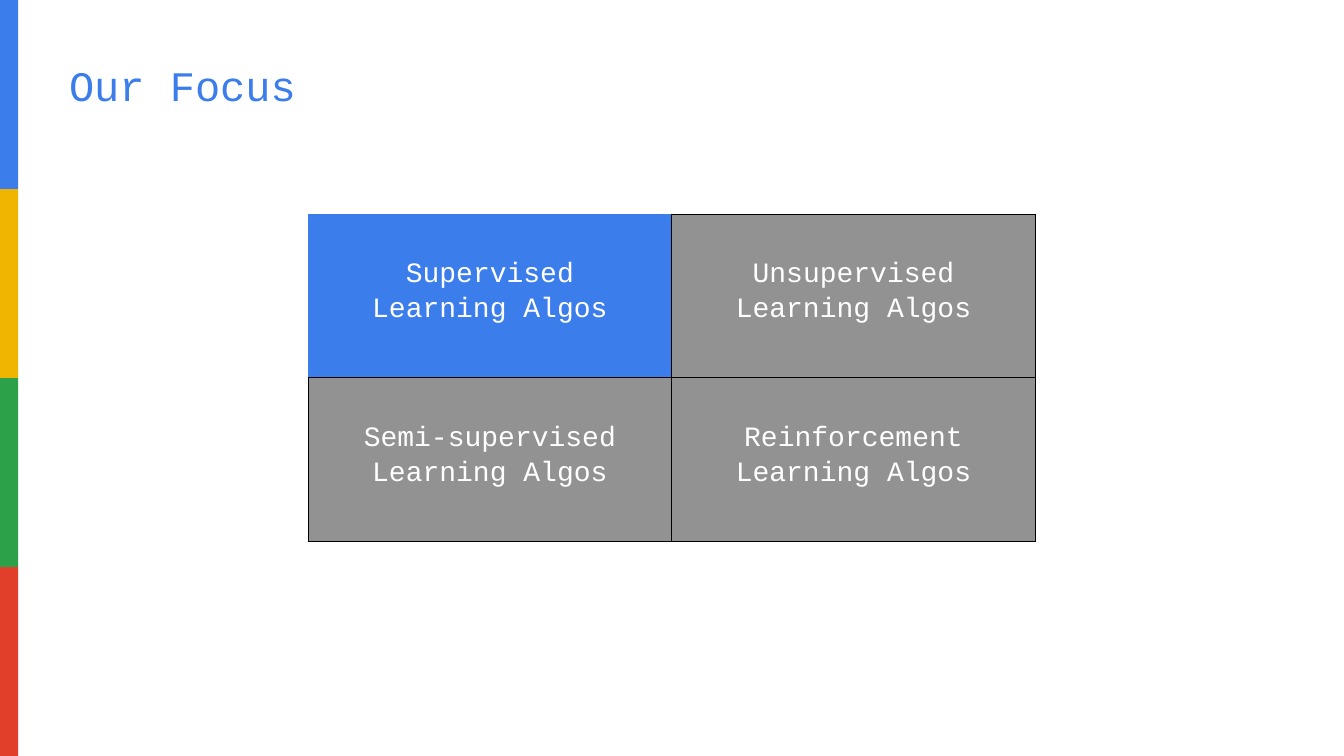
"""Build the "Our Focus" slide: a two-by-two table of learning types beside a colour stripe."""
import pptx
import pptx.dml.color
import pptx.enum.shapes
import pptx.enum.text
import pptx.oxml
import pptx.oxml.ns
import pptx.util

Cm = pptx.util.Cm
Pt = pptx.util.Pt

TITLE = "Our Focus"
FONT = "Courier New"
BLUE, GREY, WHITE, BLACK = "3C7DEC", "929292", "FFFFFF", "000000"
STRIPES = [BLUE, "F0B500", "2CA14A", "E23F2A"]
ALGORITHMS = [
    [("Supervised Learning Algos", BLUE, "RB"), ("Unsupervised Learning Algos", GREY, "LRTB")],
    [("Semi-supervised Learning Algos", GREY, "LRTB"), ("Reinforcement Learning Algos", GREY, "LRTB")],
]
PAGE_WIDTH, PAGE_HEIGHT = Cm(55.85), Cm(31.42)
STRIPE_WIDTH = Cm(0.75)
TABLE_LEFT, TABLE_TOP = Cm(12.8), Cm(8.89)
CELL_WIDTH, CELL_HEIGHT = Cm(15.11), Cm(6.81)


def colour(value):
    return pptx.dml.color.RGBColor.from_string(value)


def style_paragraph(para, size, value):
    para.font.name = FONT
    para.font.size = Pt(size)
    para.font.color.rgb = colour(value)


def add_borders(cell, sides):
    properties = cell._tc.get_or_add_tcPr()
    for index, side in enumerate("LRTB"):
        fill = f'<a:solidFill><a:srgbClr val="{BLACK}"/></a:solidFill>' if side in sides else "<a:noFill/>"
        line = f'<a:ln{side} {pptx.oxml.ns.nsdecls("a")} w="{Pt(1)}">{fill}</a:ln{side}>'
        properties.insert(index, pptx.oxml.parse_xml(line))


def add_title(page):
    title = page.shapes.title
    title.left, title.top, title.width, title.height = Cm(2.87), Cm(2.29), Cm(9.8), Cm(2.3)
    frame = title.text_frame
    frame.text = TITLE
    frame.word_wrap = True
    frame.auto_size = pptx.enum.text.MSO_AUTO_SIZE.NONE
    frame.vertical_anchor = pptx.enum.text.MSO_ANCHOR.TOP
    frame.margin_left = frame.margin_right = frame.margin_bottom = 0
    frame.margin_top = Cm(0.2)
    para = frame.paragraphs[0]
    para.alignment = pptx.enum.text.PP_ALIGN.LEFT
    style_paragraph(para, 49.5, BLUE)


def add_algorithms(page):
    rows, columns = len(ALGORITHMS), len(ALGORITHMS[0])
    table = page.shapes.add_table(
        rows, columns, TABLE_LEFT, TABLE_TOP, CELL_WIDTH * columns, CELL_HEIGHT * rows
    ).table
    table.first_row = table.horz_banding = False
    for row, entries in enumerate(ALGORITHMS):
        for column, (text, fill, sides) in enumerate(entries):
            cell = table.cell(row, column)
            cell.text = text
            cell.fill.solid()
            cell.fill.fore_color.rgb = colour(fill)
            cell.margin_left = cell.margin_right = Cm(2.1)
            cell.margin_top, cell.margin_bottom = Cm(1.76), 0
            add_borders(cell, sides)
            para = cell.text_frame.paragraphs[0]
            para.alignment = pptx.enum.text.PP_ALIGN.CENTER
            para.line_spacing = 1.1
            style_paragraph(para, 33, WHITE)


def add_stripes(page):
    height = PAGE_HEIGHT // len(STRIPES)
    for index, value in enumerate(STRIPES):
        stripe = page.shapes.add_shape(
            pptx.enum.shapes.MSO_SHAPE.RECTANGLE, 0, index * height, STRIPE_WIDTH, height
        )
        stripe.shadow.inherit = False
        stripe.fill.solid()
        stripe.fill.fore_color.rgb = colour(value)
        stripe.line.fill.background()


def main():
    deck = pptx.Presentation()
    deck.slide_width, deck.slide_height = PAGE_WIDTH, PAGE_HEIGHT
    page = deck.slides.add_slide(deck.slide_layouts.get_by_name("Title Only"))
    add_title(page)
    add_algorithms(page)
    add_stripes(page)
    deck.save("out.pptx")


if __name__ == "__main__":
    main()
